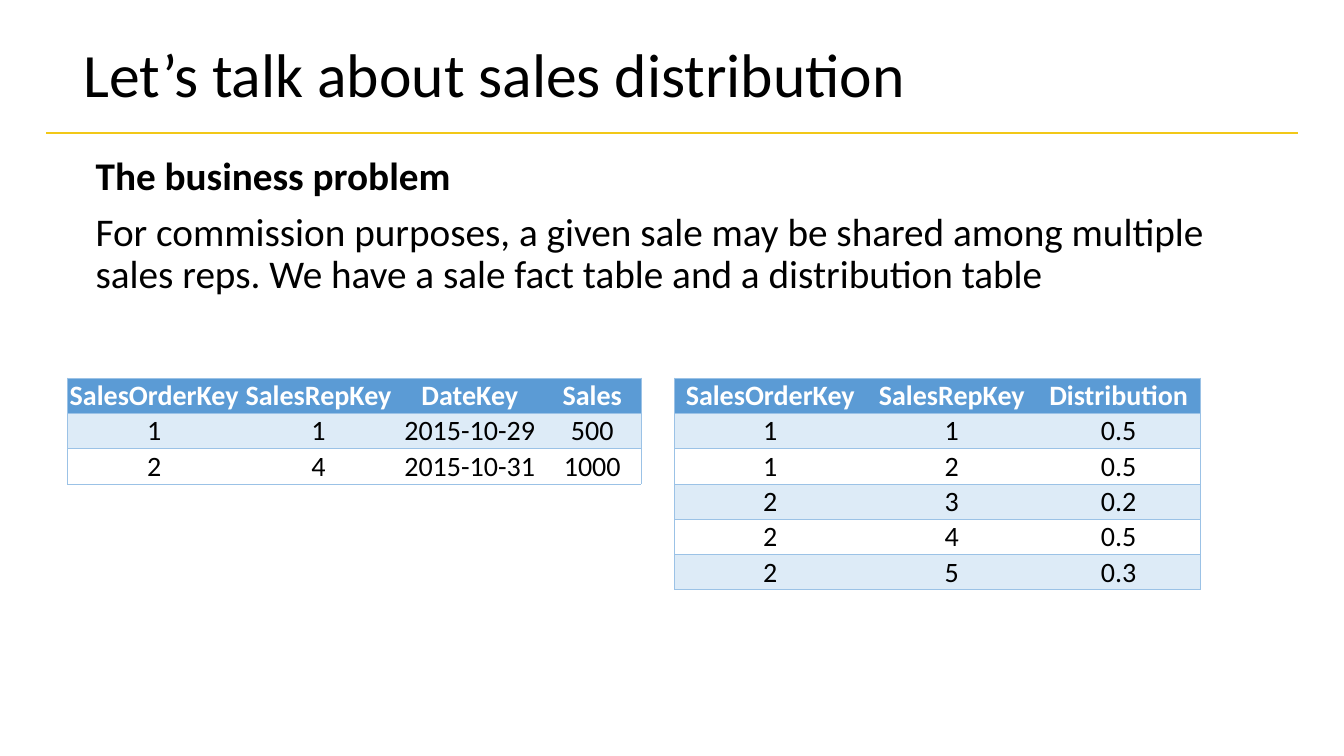
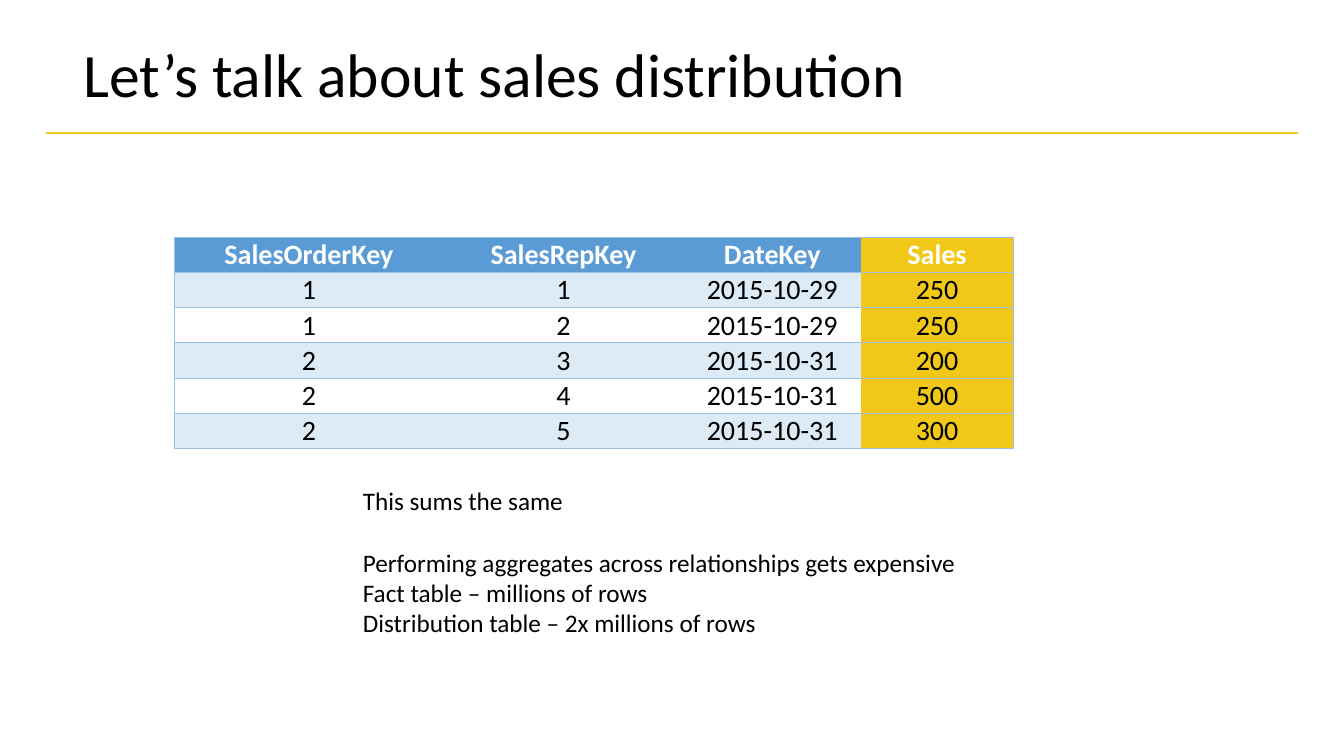
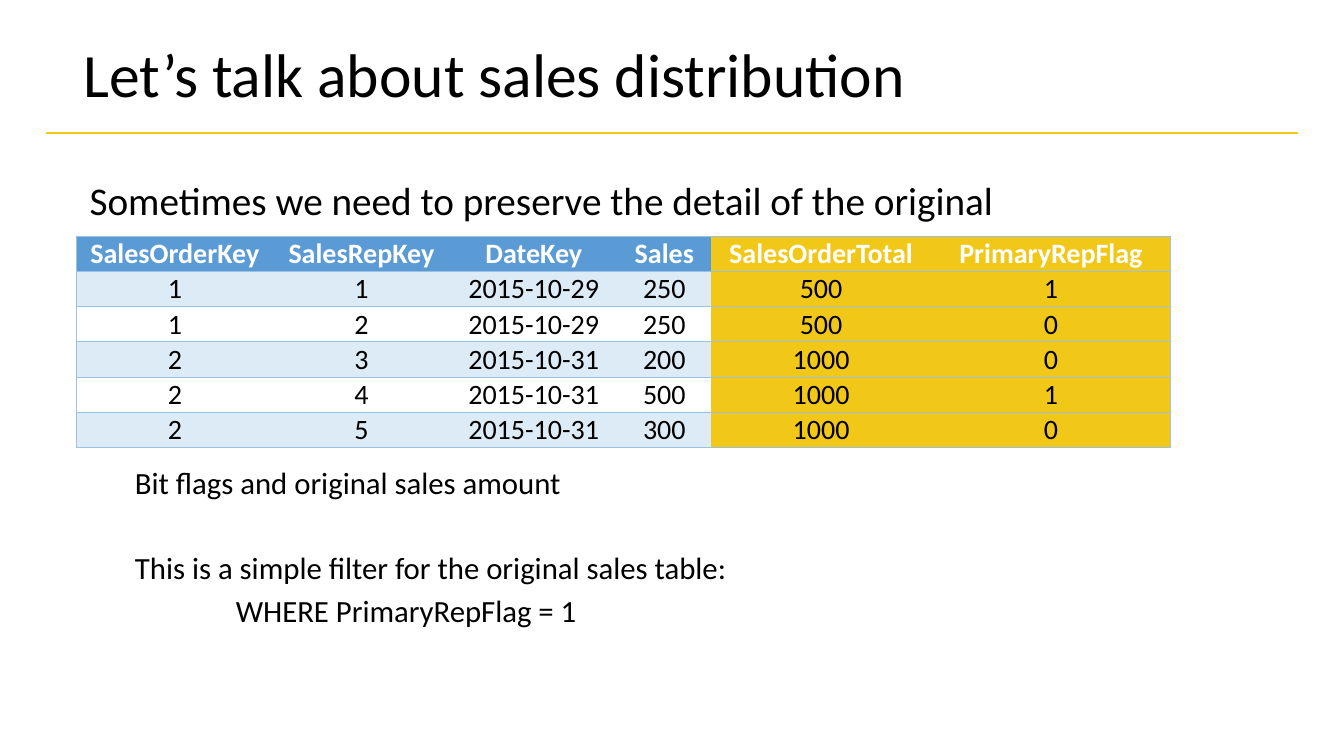
from dataclasses import dataclass
from typing import Any

from lxml.etree import SubElement
from pptx import Presentation
from pptx.dml.color import RGBColor
from pptx.enum.shapes import MSO_CONNECTOR as Connector
from pptx.enum.text import MSO_ANCHOR as Anchor, PP_ALIGN as Align
from pptx.oxml.ns import qn
from pptx.util import Inches, Pt


@dataclass(frozen=True)
class Theme:
    font: str = "Calibri"
    ink: str = "000000"
    light: str = "FFFFFF"
    accent: str = "F2C818"
    header: str = "5B9BD5"
    band: str = "DDEBF7"
    border: str = "9BC2E6"
    title_size: float = 44
    body_size: float = 28
    detail_size: float = 22
    table_size: float = 20
    note_size: float = 18
    rule_width: float = 2
    border_width: float = 0.5
    row_height: float = 0.35


@dataclass(frozen=True)
class Box:
    left: float
    top: float
    width: float
    height: float


@dataclass(frozen=True)
class Line:
    text: str
    before: float = 0
    indent: float = 0
    bold: bool = False


@dataclass(frozen=True)
class TextBlock:
    box: Box
    size: float
    lines: tuple[Line, ...]
    spacing: float = 1.0
    anchor: Any = Anchor.TOP


@dataclass(frozen=True)
class DataTable:
    left: float
    top: float
    widths: tuple[float, ...]
    rows: tuple[tuple[str, ...], ...]
    highlighted: tuple[str, ...] = ()


@dataclass(frozen=True)
class Page:
    texts: tuple[TextBlock, ...]
    tables: tuple[DataTable, ...]


THEME = Theme()
NO_STYLE = "{2D5ABB26-0587-4C30-8999-92F81FD0307C}"
BODY_INDENT = 0.12

HEADING = TextBlock(
    Box(0.73, 0.22, 11.89, 1.1),
    THEME.title_size,
    (Line("Let’s talk about sales distribution"),),
    0.9,
    Anchor.MIDDLE,
)

ORDERS = (
    ("SalesOrderKey", "SalesRepKey", "DateKey", "Sales"),
    ("1", "1", "2015-10-29", "500"),
    ("2", "4", "2015-10-31", "1000"),
)
SHARES = (
    ("SalesOrderKey", "SalesRepKey", "Distribution"),
    ("1", "1", "0.5"),
    ("1", "2", "0.5"),
    ("2", "3", "0.2"),
    ("2", "4", "0.5"),
    ("2", "5", "0.3"),
)
DISTRIBUTED = (
    ("SalesOrderKey", "SalesRepKey", "DateKey", "Sales"),
    ("1", "1", "2015-10-29", "250"),
    ("1", "2", "2015-10-29", "250"),
    ("2", "3", "2015-10-31", "200"),
    ("2", "4", "2015-10-31", "500"),
    ("2", "5", "2015-10-31", "300"),
)
ORIGINALS = (
    ("SalesOrderTotal", "PrimaryRepFlag"),
    ("500", "1"),
    ("500", "0"),
    ("1000", "0"),
    ("1000", "1"),
    ("1000", "0"),
)
FLAGGED = tuple(sale + original for sale, original in zip(DISTRIBUTED, ORIGINALS))

PAGES = (
    Page(
        texts=(
            TextBlock(
                Box(0.73, 1.5, 11.89, 4.83),
                THEME.body_size,
                (
                    Line("The business problem", indent=BODY_INDENT, bold=True),
                    Line(
                        "For commission purposes, a given sale may be shared among multiple "
                        "sales reps. We have a sale fact table and a distribution table",
                        before=10,
                        indent=BODY_INDENT,
                    ),
                ),
                0.9,
            ),
        ),
        tables=(
            DataTable(0.67, 3.75, (1.72, 1.54, 1.46, 0.97), ORDERS),
            DataTable(6.69, 3.75, (1.9, 1.7, 1.61), SHARES),
        ),
    ),
    Page(
        texts=(
            TextBlock(
                Box(3.5, 4.77, 6.32, 1.92),
                THEME.note_size,
                (
                    Line("This sums the same"),
                    Line("Performing aggregates across relationships gets expensive", before=22),
                    Line("Fact table – millions of rows"),
                    Line("Distribution table – 2x millions of rows"),
                ),
            ),
        ),
        tables=(DataTable(1.73, 2.35, (2.67, 2.38, 1.76, 1.51), DISTRIBUTED, ("Sales",)),),
    ),
    Page(
        texts=(
            TextBlock(
                Box(0.67, 1.75, 11.11, 0.72),
                THEME.body_size,
                (Line("Sometimes we need to preserve the detail of the original", indent=BODY_INDENT),),
                0.9,
            ),
            TextBlock(
                Box(1.12, 4.55, 11.11, 2.14),
                THEME.detail_size,
                (
                    Line("Bit flags and original sales amount", indent=BODY_INDENT),
                    Line(
                        "This is a simple filter for the original sales table:",
                        before=34.5,
                        indent=BODY_INDENT,
                    ),
                    Line("WHERE PrimaryRepFlag = 1", before=4, indent=BODY_INDENT + 1),
                ),
            ),
        ),
        tables=(
            DataTable(0.76, 2.34, (1.95, 1.75, 1.67, 0.92, 2.19, 2.37), FLAGGED, ORIGINALS[0]),
        ),
    ),
)


def apply_format(target: Any, values: dict[str, Any]) -> None:
    for attribute, value in values.items():
        setattr(target, attribute, value)


def format_font(font: Any, size: float, color: str, bold: bool) -> None:
    apply_format(font, {"name": THEME.font, "size": Pt(size), "bold": bold})
    font.color.rgb = RGBColor.from_string(color)


def draw_text(slide: Any, block: TextBlock) -> None:
    box = block.box
    frame = slide.shapes.add_textbox(
        Inches(box.left), Inches(box.top), Inches(box.width), Inches(box.height)
    ).text_frame
    apply_format(frame, {"word_wrap": True, "vertical_anchor": block.anchor})
    for index, line in enumerate(block.lines):
        paragraph = frame.add_paragraph() if index else frame.paragraphs[0]
        apply_format(paragraph, {"text": line.text, "line_spacing": block.spacing})
        if line.before:
            paragraph.space_before = Pt(line.before)
        if line.indent:
            paragraph._p.get_or_add_pPr().set("marL", str(Inches(line.indent)))
        format_font(paragraph.runs[0].font, block.size, THEME.ink, line.bold)


def draw_rule(slide: Any) -> None:
    rule = slide.shapes.add_connector(
        Connector.STRAIGHT, Inches(0.46), Inches(1.32), Inches(12.87), Inches(1.32)
    )
    rule.line.color.rgb = RGBColor.from_string(THEME.accent)
    rule.line.width = Pt(THEME.rule_width)
    SubElement(rule._element.spPr, qn("a:effectLst"))


def draw_borders(cell: Any, first: bool, last: bool) -> None:
    properties = cell._tc.get_or_add_tcPr()
    for side, visible in {"L": first, "R": last, "T": True, "B": True}.items():
        edge = SubElement(properties, qn(f"a:ln{side}"), w=str(Pt(THEME.border_width)))
        if visible:
            fill = SubElement(edge, qn("a:solidFill"))
            SubElement(fill, qn("a:srgbClr"), val=THEME.border)
        else:
            SubElement(edge, qn("a:noFill"))


def cell_fill(row: int, highlighted: bool) -> str | None:
    if highlighted:
        return THEME.accent
    if row == 0:
        return THEME.header
    return THEME.band if row % 2 else None


def draw_table(slide: Any, data: DataTable) -> None:
    grid = slide.shapes.add_table(
        len(data.rows),
        len(data.widths),
        Inches(data.left),
        Inches(data.top),
        Inches(sum(data.widths)),
        Inches(THEME.row_height * len(data.rows)),
    ).table
    grid._tbl.tblPr.find(qn("a:tableStyleId")).text = NO_STYLE
    apply_format(grid, {"first_row": False, "horz_banding": False})
    for column, width in zip(grid.columns, data.widths):
        column.width = Inches(width)
    cell_format = {
        "margin_left": Inches(0.01),
        "margin_top": Inches(0.01),
        "margin_right": Inches(0.01),
        "margin_bottom": Inches(0),
        "vertical_anchor": Anchor.BOTTOM,
    }
    for row, values in enumerate(data.rows):
        grid.rows[row].height = Inches(THEME.row_height)
        for column, value in enumerate(values):
            cell = grid.cell(row, column)
            apply_format(cell, {"text": value, **cell_format})
            draw_borders(cell, column == 0, column == len(values) - 1)
            color = cell_fill(row, data.rows[0][column] in data.highlighted)
            if color:
                cell.fill.solid()
                cell.fill.fore_color.rgb = RGBColor.from_string(color)
            else:
                cell.fill.background()
            paragraph = cell.text_frame.paragraphs[0]
            paragraph.alignment = Align.CENTER
            ink = THEME.ink if row else THEME.light
            format_font(paragraph.runs[0].font, THEME.table_size, ink, row == 0)


def main() -> None:
    deck = Presentation()
    apply_format(deck, {"slide_width": Inches(13.33), "slide_height": Inches(7.5)})
    for page in PAGES:
        slide = deck.slides.add_slide(deck.slide_layouts[6])
        draw_rule(slide)
        for block in (HEADING, *page.texts):
            draw_text(slide, block)
        for data in page.tables:
            draw_table(slide, data)
    deck.save("out.pptx")


if __name__ == "__main__":
    main()
